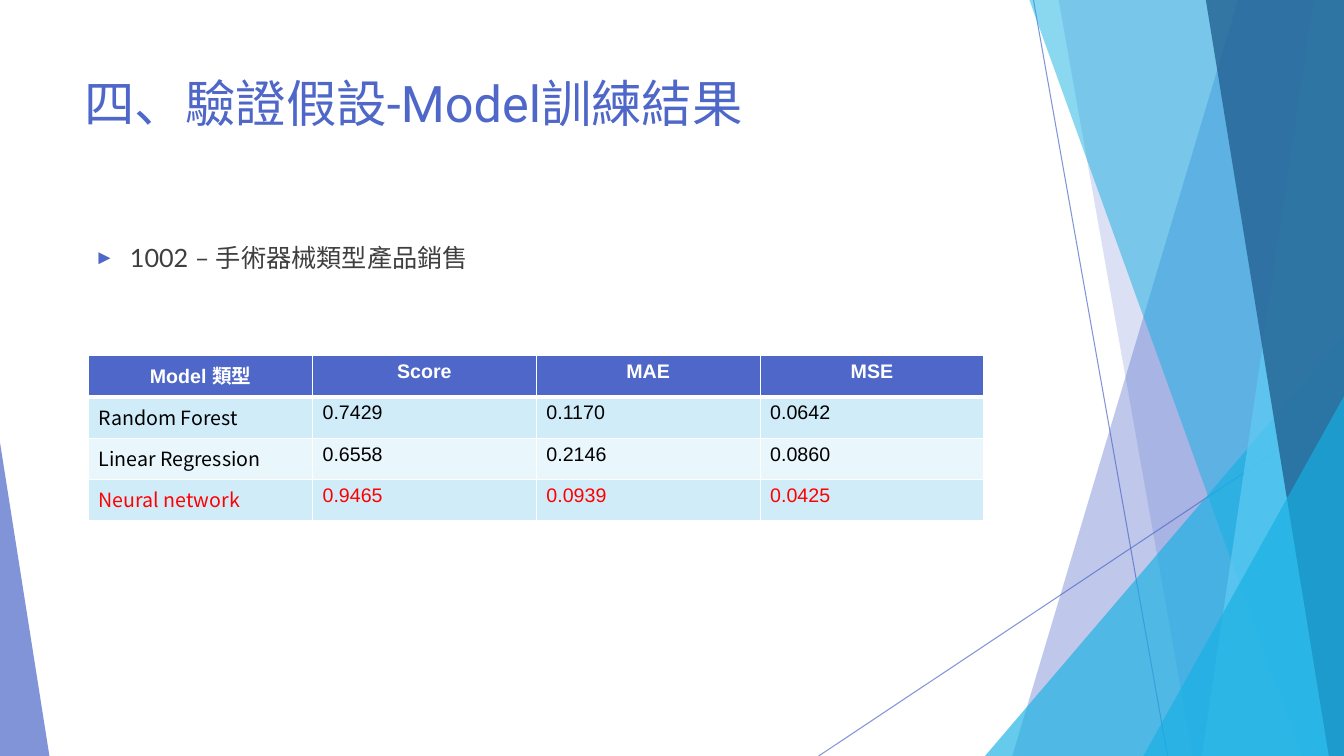
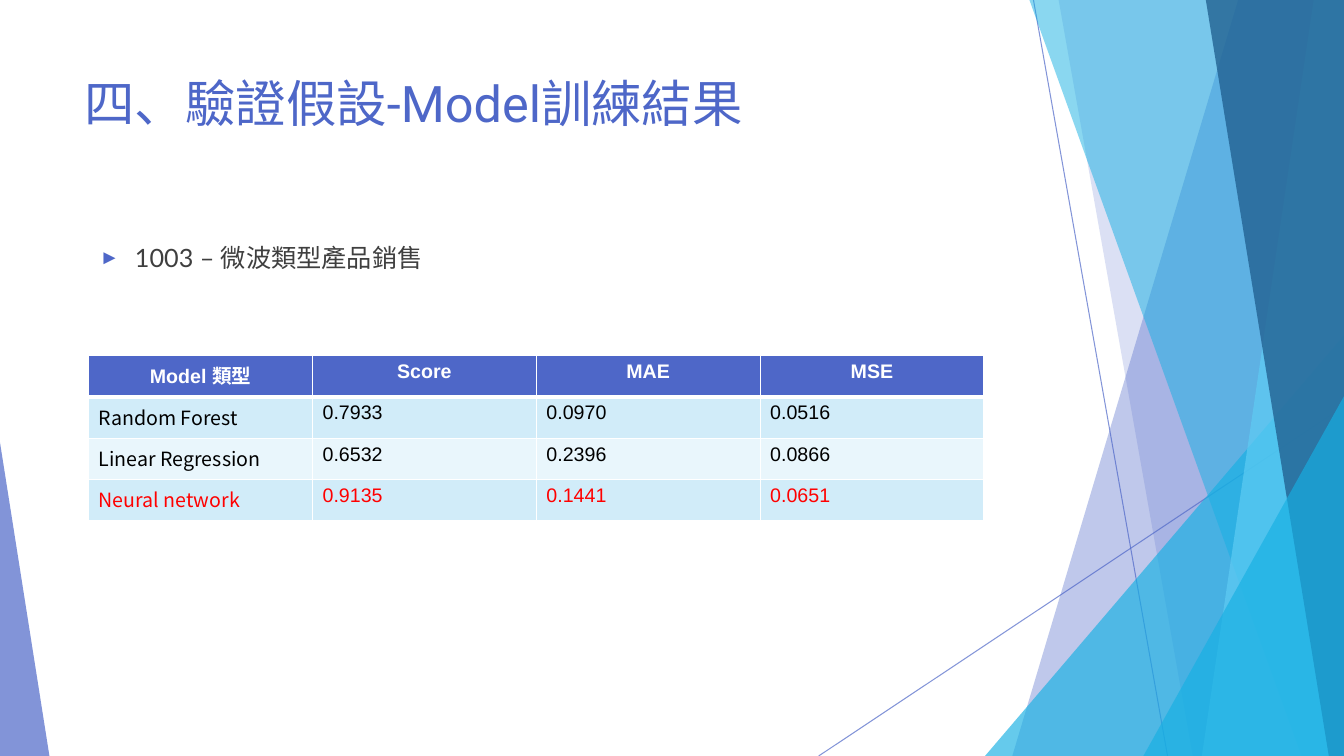
import pptx
import pptx.util
import pptx.dml.color
import pptx.enum.shapes
import pptx.enum.text
import pptx.oxml.ns
from lxml import etree

Inches = pptx.util.Inches
Pt = pptx.util.Pt
RGBColor = pptx.dml.color.RGBColor
qn = pptx.oxml.ns.qn

INDIGO = RGBColor(0x4E, 0x67, 0xC8)
CYAN = RGBColor(0x16, 0xB0, 0xE3)
SKY = RGBColor(0x5E, 0xCC, 0xF3)
NAVY = RGBColor(0x22, 0x62, 0x92)
GREY = RGBColor(0x3F, 0x3F, 0x3F)
BLACK = RGBColor(0, 0, 0)
RED = RGBColor(0xFF, 0, 0)
WHITE = RGBColor(0xFF, 0xFF, 0xFF)
ROW_TINTS = [RGBColor(0xD1, 0xEC, 0xF9), RGBColor(0xE9, 0xF6, 0xFC)]

WIDTH, HEIGHT = 13.33, 7.5
TITLE = "四、驗證假設-Model訓練結果"
HEADINGS = ["Model 類型", "Score", "MAE", "MSE"]
MODELS = ["Random Forest", "Linear Regression", "Neural network"]
COLUMN_WIDTH, ROW_HEIGHT = 2.22, 0.41

RAYS = [((10.25, 0), (11.58, HEIGHT)), ((WIDTH, 4.03), (8.12, HEIGHT))]
BANDS = [
    ("slant", 12.28, 10.04, INDIGO, 36),
    ("slant", 10.5, 11.83, INDIGO, 20),
    ("corner", 9.77, 3.33, CYAN, 66),
    ("slant", 10.21, 12.91, CYAN, 50),
    ("slant", 13.03, 11.92, SKY, 70),
    ("slant", 11.96, 13.18, NAVY, 80),
    ("corner", 11.34, 3.93, CYAN, 66),
    ("left corner", 0, 4.39, INDIGO, 70),
]
RESULTS = [
    ("1002 – 手術器械類型產品銷售", 0.69, [
        ["0.7429", "0.1170", "0.0642"],
        ["0.6558", "0.2146", "0.0860"],
        ["0.9465", "0.0939", "0.0425"]]),
    ("1003 – 微波類型產品銷售", 0.74, [
        ["0.7933", "0.0970", "0.0516"],
        ["0.6532", "0.2396", "0.0866"],
        ["0.9135", "0.1441", "0.0651"]]),
]


def set_opacity(shape, percent):
    for colour in shape._element.spPr.iter(qn("a:srgbClr")):
        etree.SubElement(colour, qn("a:alpha"), val=str(percent * 1000))


def add_text(page, left, top, width, height, text, font_name, size, colour):
    box = page.shapes.add_textbox(Inches(left), Inches(top), Inches(width), Inches(height))
    box.text_frame.word_wrap = True
    para = box.text_frame.paragraphs[0]
    para.text = text
    para.font.name = font_name
    para.font.size = Pt(size)
    para.font.color.rgb = colour
    return para


deck = pptx.Presentation()
deck.slide_width = Inches(WIDTH)
deck.slide_height = Inches(HEIGHT)

for subject, subject_left, scores in RESULTS:
    page = deck.slides.add_slide(deck.slide_layouts[6])

    for start, end in RAYS:
        ray = page.shapes.add_connector(
            pptx.enum.shapes.MSO_CONNECTOR.STRAIGHT, *map(Inches, start + end))
        ray.line.color.rgb = INDIGO
        ray.line.width = Pt(0.75)
        set_opacity(ray, 70)
        etree.SubElement(ray._element.spPr, qn("a:effectLst"))

    for kind, first, second, colour, opacity in BANDS:
        if kind == "slant":
            outline = page.shapes.build_freeform(Inches(first), 0)
            outline.add_line_segments([
                (Inches(WIDTH), 0), (Inches(WIDTH), Inches(HEIGHT)),
                (Inches(second), Inches(HEIGHT))], close=True)
            band = outline.convert_to_shape()
        else:
            band_width = WIDTH - first if kind == "corner" else 0.49
            band = page.shapes.add_shape(
                pptx.enum.shapes.MSO_SHAPE.ISOSCELES_TRIANGLE, Inches(first),
                Inches(second), Inches(band_width), Inches(HEIGHT - second))
            band.adjustments[0] = 1 if kind == "corner" else 0
        band.fill.solid()
        band.fill.fore_color.rgb = colour
        set_opacity(band, opacity)
        band.line.fill.background()
        band.shadow.inherit = False

    add_text(page, 0.74, 0.67, 9.4, 1.44, TITLE, "Roboto", 36, INDIGO)

    para = add_text(page, subject_left, 2.36, 9.4, 4.24, subject, "Lato", 18, GREY)
    para.space_before = Pt(10)
    settings = para._p.get_or_add_pPr()
    settings.set("marL", str(Inches(0.5)))
    settings.set("indent", str(Inches(-0.35)))
    bullet_colour = etree.Element(qn("a:buClr"))
    etree.SubElement(bullet_colour, qn("a:srgbClr"), val=str(INDIGO))
    bullet_size = etree.Element(qn("a:buSzPct"), val="80000")
    bullet_font = etree.Element(qn("a:buFont"), typeface="Arial")
    bullet = etree.Element(qn("a:buChar"), char="►")
    settings.find(qn("a:spcBef")).addnext(bullet_colour)
    bullet_colour.addnext(bullet_size)
    bullet_size.addnext(bullet_font)
    bullet_font.addnext(bullet)

    rows = [HEADINGS] + [[model] + values for model, values in zip(MODELS, scores)]
    table = page.shapes.add_table(
        len(rows), len(HEADINGS), Inches(0.88), Inches(3.53),
        Inches(COLUMN_WIDTH * len(HEADINGS)), Inches(ROW_HEIGHT * len(rows))).table
    for column in table.columns:
        column.width = Inches(COLUMN_WIDTH)
    for row_index, texts in enumerate(rows):
        table.rows[row_index].height = Inches(ROW_HEIGHT)
        heading = row_index == 0
        best = row_index == len(rows) - 1
        for column_index, text in enumerate(texts):
            cell = table.cell(row_index, column_index)
            cell_settings = cell._tc.get_or_add_tcPr()
            for side in "LRTB":
                thick = (side == "B" and heading) or (side == "T" and row_index == 1)
                border = etree.SubElement(
                    cell_settings, qn("a:ln" + side), w=str(Pt(3 if thick else 1)))
                border_fill = etree.SubElement(border, qn("a:solidFill"))
                etree.SubElement(border_fill, qn("a:srgbClr"), val=str(WHITE))
            cell.fill.solid()
            cell.fill.fore_color.rgb = INDIGO if heading else ROW_TINTS[(row_index - 1) % 2]
            cell.text = text
            para = cell.text_frame.paragraphs[0]
            para.font.size = Pt(14)
            para.font.bold = heading
            para.font.name = "Arial" if heading or column_index else "Noto Sans CJK SC"
            para.font.color.rgb = WHITE if heading else RED if best else BLACK
            if heading:
                para.alignment = pptx.enum.text.PP_ALIGN.CENTER

deck.save("out.pptx")
